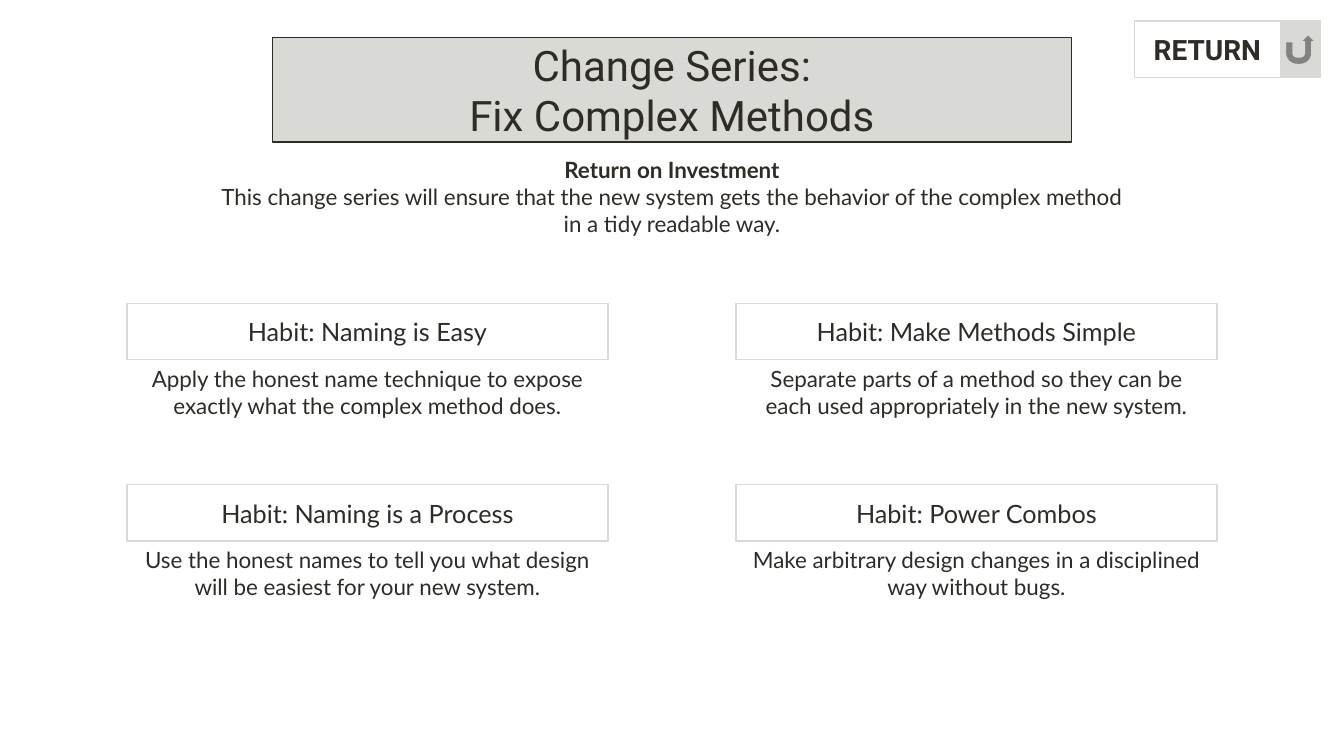
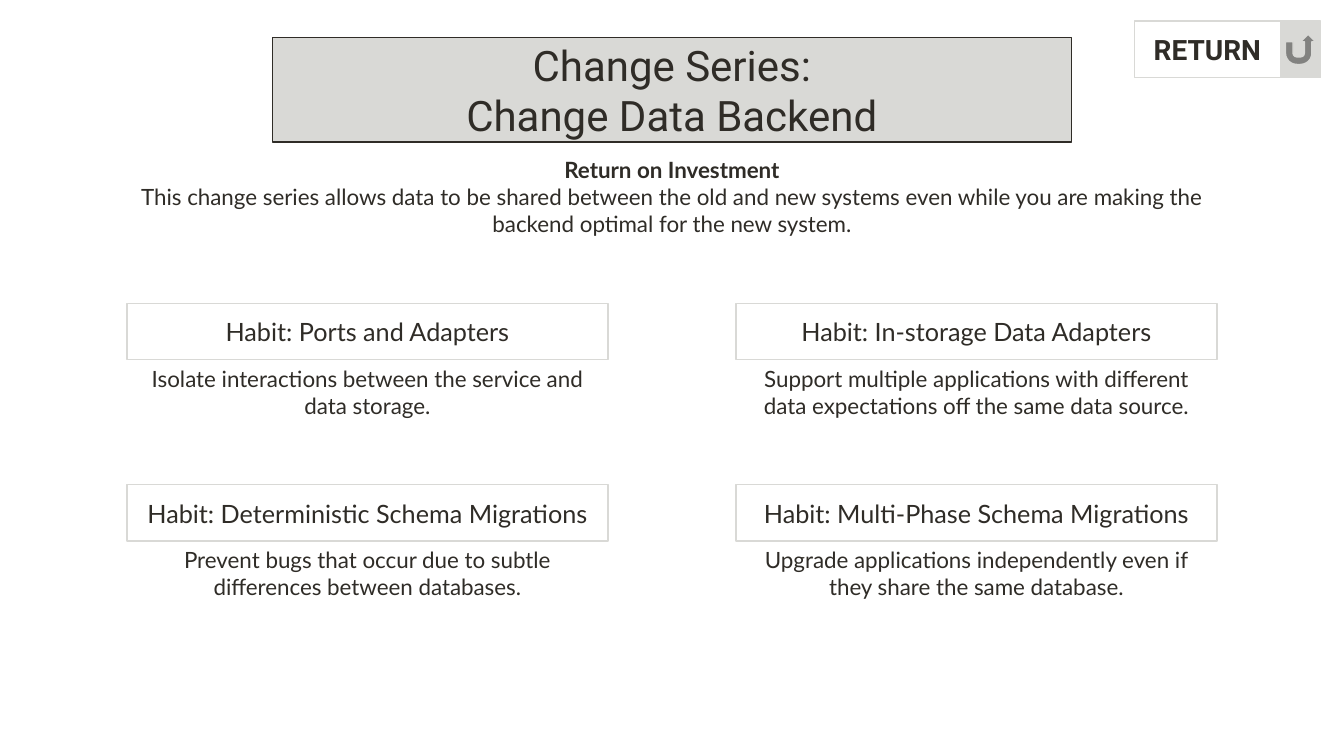
from pptx import Presentation
from pptx.dml.color import RGBColor
from pptx.enum.shapes import MSO_SHAPE
from pptx.enum.text import MSO_ANCHOR, MSO_AUTO_SIZE, PP_ALIGN
from pptx.util import Inches, Pt

INK = RGBColor(0x2F, 0x2C, 0x27)
GREY = RGBColor(0xD9, 0xD9, 0xD6)
HEADING_FONT = "Roboto"
BODY_FONT = "Lato"

HABIT_LEFT, HABIT_TOP = Inches(1.26), Inches(3.01)
HABIT_WIDTH, HABIT_HEIGHT = Inches(4.77), Inches(0.56)
COLUMN_STEP, ROW_STEP = Inches(6.04), Inches(1.8)

# Title, return on investment, then habits row by row
SERIES = [
    (
        "Fix Complex Methods",
        ["This change series will ensure that the new system gets the behavior of the complex method",
         "in a tidy readable way."],
        [("Habit: Naming is Easy",
          "Apply the honest name technique to expose exactly what the complex method does."),
         ("Habit: Make Methods Simple",
          "Separate parts of a method so they can be each used appropriately in the new system."),
         ("Habit: Naming is a Process",
          "Use the honest names to tell you what design will be easiest for your new system."),
         ("Habit: Power Combos",
          "Make arbitrary design changes in a disciplined way without bugs.")],
    ),
    (
        "Change Data Backend",
        ["This change series allows data to be shared between the old and new systems "
         "even while you are making the backend optimal for the new system."],
        [("Habit: Ports and Adapters",
          "Isolate interactions between the service and data storage."),
         ("Habit: In-storage Data Adapters",
          "Support multiple applications with different data expectations off the same data source."),
         ("Habit: Deterministic Schema Migrations",
          "Prevent bugs that occur due to subtle differences between databases."),
         ("Habit: Multi-Phase Schema Migrations",
          "Upgrade applications independently even if they share the same database.")],
    ),
]


def write(shape, lines, size, font=BODY_FONT, bold=False, anchor=MSO_ANCHOR.MIDDLE):
    text_frame = shape.text_frame
    text_frame.text = "\n".join(lines)
    text_frame.word_wrap = True
    text_frame.auto_size = MSO_AUTO_SIZE.NONE
    text_frame.vertical_anchor = anchor
    for paragraph in text_frame.paragraphs:
        paragraph.alignment = PP_ALIGN.CENTER
        for run in paragraph.runs:
            run.font.name = font
            run.font.size = Pt(size)
            run.font.bold = bold
            run.font.color.rgb = INK


def add_box(shapes, left, top, width, height, kind=MSO_SHAPE.RECTANGLE, fill=None):
    box = shapes.add_shape(kind, left, top, width, height)
    box.shadow.inherit = False
    if fill is None:
        box.fill.background()
    else:
        box.fill.solid()
        box.fill.fore_color.rgb = fill
    box.line.color.rgb = GREY
    box.line.width = Pt(1)
    return box


def add_body(shapes, lines, left, top, width, height):
    body = shapes.add_textbox(left, top, width, height)
    write(body, lines, 16, anchor=MSO_ANCHOR.TOP)
    return body


def place_title(slide, name):
    title = slide.shapes.title
    title.left, title.top = Inches(2.7), Inches(0.37)
    title.width, title.height = Inches(7.93), Inches(1.04)
    title.fill.solid()
    title.fill.fore_color.rgb = GREY
    title.line.color.rgb = INK
    title.line.width = Pt(1)
    write(title, ["Change Series:", name], 30, HEADING_FONT)


def add_return_on_investment(slide, lines):
    body = add_body(slide.shapes, ["Return on Investment", *lines],
                    Inches(1.27), Inches(1.5), Inches(10.79), Inches(0.91))
    body.text_frame.paragraphs[0].runs[0].font.bold = True


def add_return_button(slide, left, top):
    width, height = Inches(1.45), Inches(0.56)
    label = add_box(slide.shapes, left, top, width, height)
    write(label, ["RETURN"], 20, HEADING_FONT, bold=True)
    add_box(slide.shapes, left + width, top, Inches(0.4), height,
            MSO_SHAPE.ACTION_BUTTON_RETURN, GREY)


def add_habit(slide, left, top, heading, description):
    shapes = slide.shapes.add_group_shape().shapes
    write(add_box(shapes, left, top, HABIT_WIDTH, HABIT_HEIGHT), [heading], 18)
    add_body(shapes, [description], left, top + HABIT_HEIGHT, HABIT_WIDTH, Inches(0.64))


def add_series_slide(presentation, name, investment, habits):
    slide = presentation.slides.add_slide(presentation.slide_layouts[5])
    place_title(slide, name)
    add_return_on_investment(slide, investment)
    add_return_button(slide, Inches(11.25), Inches(0.21))
    for index, (heading, description) in enumerate(habits):
        row, column = divmod(index, 2)
        add_habit(slide, HABIT_LEFT + column * COLUMN_STEP, HABIT_TOP + row * ROW_STEP,
                  heading, description)


def main():
    presentation = Presentation()
    presentation.slide_width, presentation.slide_height = Inches(13.33), Inches(7.5)
    for name, investment, habits in SERIES:
        add_series_slide(presentation, name, investment, habits)
    presentation.save("out.pptx")


if __name__ == "__main__":
    main()
